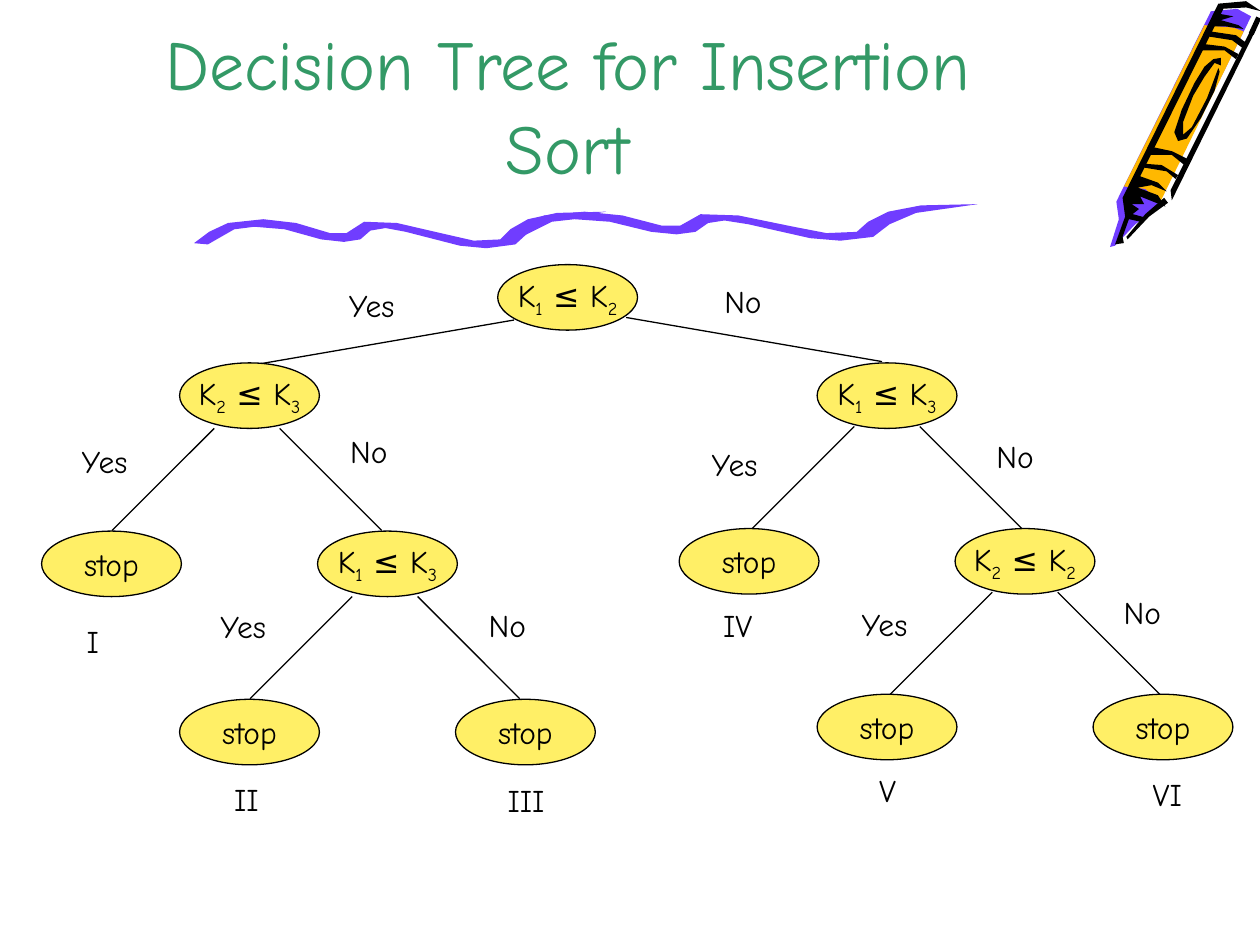
"""Build a slide with the decision tree for insertion sort on a 1000 by 750 grid."""
from dataclasses import dataclass
from itertools import groupby

from lxml import etree
from pptx import Presentation
from pptx import util as u
from pptx.dml.color import RGBColor
from pptx.enum import shapes, text

COLS, ROWS = 1000, 750
CELL = u.Inches(0.01)
FONT = "Comic Neue"
BLACK = RGBColor(0, 0, 0)
GREEN = RGBColor(0x33, 0x99, 0x66)
YELLOW = RGBColor(0xFF, 0xEF, 0x66)
PURPLE = RGBColor(0x70, 0x3D, 0xFF)
ORANGE = RGBColor(0xFF, 0xB8, 0x00)
NODE_W, NODE_H = 111, 52
STEP = 109.5
MIDDLE = text.MSO_ANCHOR.MIDDLE
CENTER = text.PP_ALIGN.CENTER
FIT = text.MSO_AUTO_SIZE.SHAPE_TO_FIT_TEXT
NS = "http://schemas.openxmlformats.org/drawingml/2006/main"


@dataclass
class Patch:
    fill: RGBColor
    points: list


@dataclass
class Node:
    words: str
    col: int
    row: int
    fork: bool = False


@dataclass
class Branch:
    left: float
    top: float
    pitch: float
    shift: float
    drop: float
    nodes: list


@dataclass
class Label:
    words: str
    left: int
    top: int
    width: int = 65


CRAYON = [
    Patch(PURPLE, [(993, 13), (917, 166), (901, 178), (885, 195), (881, 196), (888, 174),
                   (886, 160), (961, 9), (982, 7)]),
    Patch(ORANGE, [(921, 160), (909, 150), (892, 148), (956, 20), (979, 22), (987, 25)]),
    Patch(BLACK, [(927, 161), (912, 172), (895, 190), (894, 188), (909, 170), (924, 157)]),
    Patch(BLACK, [(987, 23), (973, 21), (961, 21), (968, 11), (979, 13), (969, 16), (983, 20)]),
    Patch(BLACK, [(968, 57), (964, 72), (953, 94), (942, 110), (935, 112), (932, 105),
                  (938, 87), (948, 66), (956, 53), (963, 47), (969, 46), (969, 52), (964, 50),
                  (956, 61), (947, 76), (939, 97), (939, 107), (946, 101), (958, 78), (967, 54)]),
    Patch(BLACK, [(997, 23), (930, 159), (929, 151), (993, 23)]),
    Patch(BLACK, [(925, 164), (919, 155), (903, 149), (914, 147), (926, 152), (919, 145),
                  (905, 140), (971, 7), (989, 6), (1001, 9), (989, 1), (967, 3), (891, 157),
                  (893, 172), (885, 194), (892, 193), (891, 188), (896, 174), (905, 176),
                  (910, 173), (899, 170), (904, 166), (898, 162), (908, 162), (905, 156)]),
    Patch(BLACK, [(933, 142), (926, 136), (908, 133), (909, 130), (922, 131), (935, 139)]),
    Patch(BLACK, [(940, 131), (930, 123), (913, 123), (916, 117), (930, 120), (942, 126)]),
    Patch(BLACK, [(981, 47), (972, 40), (953, 40), (956, 35), (972, 37), (983, 43)]),
    Patch(BLACK, [(986, 38), (978, 32), (959, 29), (961, 25), (981, 28), (989, 34)]),
]
WAVE = [(11, 26), (32, 14), (48, 12), (72, 14), (101, 22), (119, 24), (132, 22), (140, 15),
        (152, 13), (168, 16), (211, 27), (232, 29), (255, 26), (266, 16), (284, 7), (327, 0),
        (288, 1), (265, 6), (251, 14), (243, 22), (222, 23), (200, 18), (161, 9), (135, 8),
        (121, 17), (108, 17), (81, 9), (55, 6), (27, 9), (12, 16), (0, 25)]
WAVES = [(154, 168, 1), (401, 162, 1.147)]

ROOT = Node("K1 ≤ K2", 0, 0)
BRANCHES = [
    Branch(33, 288, 133.5, -2, 26, [
        Node("K2 ≤ K3", 1, 0, True), Node("stop", 0, 1), Node("K1 ≤ K3", 2, 1, True),
        Node("stop", 1, 2), Node("stop", 3, 2)]),
    Branch(539, 288, 131.5, 0, 24.5, [
        Node("K1 ≤ K3", 1, 0, True), Node("stop", 0, 1), Node("K2 ≤ K2", 2, 1, True),
        Node("stop", 1, 2), Node("stop", 3, 2)]),
]
TOP_EDGES = [(408, 254, 205, 289), (497, 252, 700, 287)]
LABELS = [
    Label("Yes", 267, 222), Label("No", 565, 219),
    Label("Yes", 55, 346), Label("No", 268, 338),
    Label("Yes", 165, 477), Label("No", 378, 476),
    Label("Yes", 555, 348), Label("No", 781, 342),
    Label("Yes", 674, 475), Label("No", 882, 466),
    Label("I", 59, 489, 44), Label("II", 176, 614, 59), Label("III", 393, 615, 76),
    Label("IV", 564, 476, 56), Label("V", 688, 607, 40), Label("VI", 905, 610, 51),
]


def grid(*cells: float) -> list:
    return [u.Emu(round(c * CELL)) for c in cells]


def write(frame, words: str, *, size=18, ink=BLACK, align=None, anchor=text.MSO_ANCHOR.TOP,
          wrap=True, fit=text.MSO_AUTO_SIZE.NONE, before=0) -> None:
    frame.word_wrap, frame.auto_size, frame.vertical_anchor = wrap, fit, anchor
    para = frame.paragraphs[0]
    para.alignment, para.space_before = align, u.Pt(before)
    for sub, part in groupby(words, str.isdigit):
        run = para.add_run()
        run.text = "".join(part)
        run.font.name, run.font.size = FONT, u.Pt(size)
        run.font.color.rgb = ink
        if sub:
            run.font._element.set("baseline", "-25000")


def draw_patch(slide, patch: Patch) -> None:
    first, *rest = patch.points
    pen = slide.shapes.build_freeform(*first, scale=CELL)
    pen.add_line_segments(rest, close=True)
    shape = pen.convert_to_shape()
    shape.shadow.inherit = False
    shape.fill.solid()
    shape.fill.fore_color.rgb = patch.fill
    shape.line.fill.background()


def draw_line(slide, *ends: float, width: float = 0.75) -> None:
    line = slide.shapes.add_connector(shapes.MSO_CONNECTOR.STRAIGHT, *grid(*ends))
    line.line.color.rgb, line.line.width = BLACK, u.Pt(width)
    etree.SubElement(line._element.spPr, f"{{{NS}}}effectLst")


def draw_node(slide, words: str, left: float, top: float) -> None:
    oval = slide.shapes.add_shape(shapes.MSO_SHAPE.OVAL, *grid(left, top, NODE_W, NODE_H))
    oval.shadow.inherit = False
    oval.fill.solid()
    oval.fill.fore_color.rgb = YELLOW
    oval.line.color.rgb, oval.line.width = BLACK, u.Pt(0.75)
    write(oval.text_frame, words, align=CENTER, anchor=MIDDLE, wrap=False)


def draw_branch(slide, branch: Branch) -> None:
    for node in branch.nodes:
        left = branch.left + node.col * STEP
        top = branch.top + node.row * branch.pitch
        draw_node(slide, node.words, left, top)
        if node.fork:
            mid = left + NODE_W / 2 + branch.shift
            low = top + NODE_H / 2 + branch.drop
            for side in (-1, 1):
                draw_line(slide, mid + side * 26, low, mid + side * 107, low + 81)


def draw_label(slide, label: Label) -> None:
    box = slide.shapes.add_textbox(*grid(label.left, label.top, label.width, 40))
    write(box.text_frame, label.words, fit=FIT, before=11.2)


def main() -> None:
    deck = Presentation()
    deck.slide_width, deck.slide_height = grid(COLS, ROWS)
    slide = deck.slides.add_slide(deck.slide_layouts[5])
    title = slide.shapes.title
    title.left, title.top, title.width, title.height = grid(75, 0, 751, 155)
    write(title.text_frame, "Decision Tree for Insertion Sort", size=40, ink=GREEN,
          align=CENTER, anchor=text.MSO_ANCHOR.BOTTOM)
    for patch in CRAYON:
        draw_patch(slide, patch)
    draw_line(slide, 999, 14, 993, 27, width=3)
    for left, top, scale in WAVES:
        draw_patch(slide, Patch(PURPLE, [(left + x * scale, top + y) for x, y in WAVE]))
    draw_node(slide, ROOT.words, 395, 210)
    for ends in TOP_EDGES:
        draw_line(slide, *ends)
    for branch in BRANCHES:
        draw_branch(slide, branch)
    for label in LABELS:
        draw_label(slide, label)
    deck.save("out.pptx")


if __name__ == "__main__":
    main()
